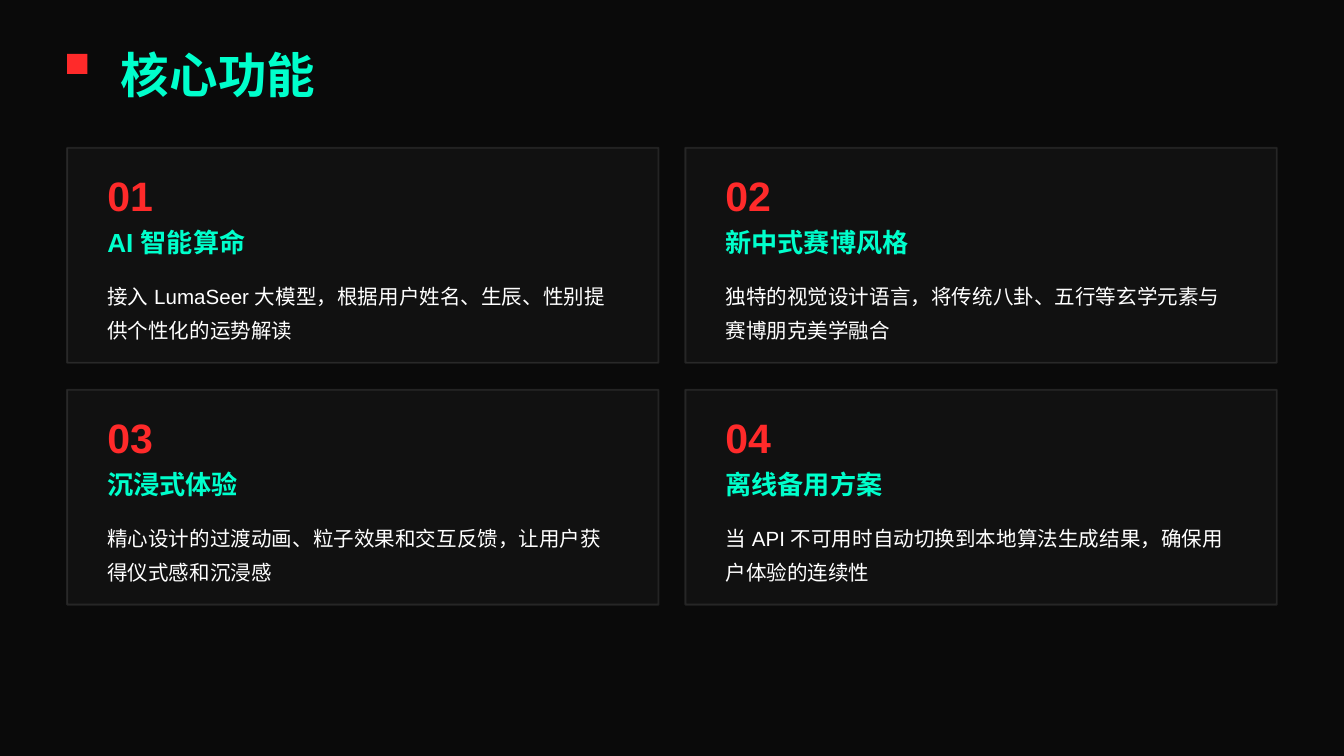
from lxml.etree import SubElement
from pptx import Presentation
from pptx.dml.color import RGBColor
from pptx.enum.shapes import MSO_SHAPE
from pptx.enum.text import MSO_ANCHOR, MSO_AUTO_SIZE, PP_ALIGN
from pptx.oxml.ns import qn
from pptx.util import Inches, Pt

# Content
TITLE = "核心功能"
FEATURES = [
    ("AI 智能算命", "接入 LumaSeer 大模型，根据用户姓名、生辰、性别提供个性化的运势解读"),
    ("新中式赛博风格", "独特的视觉设计语言，将传统八卦、五行等玄学元素与赛博朋克美学融合"),
    ("沉浸式体验", "精心设计的过渡动画、粒子效果和交互反馈，让用户获得仪式感和沉浸感"),
    ("离线备用方案", "当 API 不可用时自动切换到本地算法生成结果，确保用户体验的连续性"),
]

# Style
FONT = "Arial"
BLACK = RGBColor(0x0A, 0x0A, 0x0A)
RED = RGBColor(0xFF, 0x2A, 0x2A)
TEAL = RGBColor(0x00, 0xFF, 0xCC)
WHITE = RGBColor(0xFF, 0xFF, 0xFF)

# Card grid, in inches
COLUMNS = 2
LEFT, TOP = 0.5, 1.1
CARD_WIDTH, CARD_HEIGHT, GAP = 4.4, 1.6, 0.2
PADDING = 0.2


def place(shape, left, top, width, height):
    shape.left, shape.top = Inches(left), Inches(top)
    shape.width, shape.height = Inches(width), Inches(height)


def write(box, text, size, color, bold=False, line_spacing=None):
    frame = box.text_frame
    frame.word_wrap = True
    frame.auto_size = MSO_AUTO_SIZE.NONE
    frame.vertical_anchor = MSO_ANCHOR.MIDDLE
    para = frame.paragraphs[0]
    para.alignment = PP_ALIGN.LEFT
    if line_spacing:
        para.line_spacing = Pt(line_spacing)
    span = para.add_run()
    span.text = text
    span.font.name, span.font.size = FONT, Pt(size)
    span.font.bold, span.font.color.rgb = bold, color
    # East Asian typeface follows the Latin one
    SubElement(span.font._element, qn("a:ea"), typeface=FONT)


def add_text(slide, text, left, top, width, height, **style):
    box = slide.shapes.add_textbox(
        Inches(left), Inches(top), Inches(width), Inches(height))
    write(box, text, **style)


def add_rectangle(slide, left, top, width, height, color):
    box = slide.shapes.add_shape(
        MSO_SHAPE.RECTANGLE,
        Inches(left), Inches(top), Inches(width), Inches(height))
    box.shadow.inherit = False
    box.fill.solid()
    box.fill.fore_color.rgb = color
    box.line.fill.background()
    return box


def set_opacity(properties, percent):
    color = properties.find(qn("a:solidFill")).find(qn("a:srgbClr"))
    SubElement(color, qn("a:alpha"), val=str(percent * 1000))


def add_card(slide, left, top, number, heading, description):
    card = add_rectangle(slide, left, top, CARD_WIDTH, CARD_HEIGHT, WHITE)
    card.line.color.rgb = WHITE
    card.line.width = Pt(1)
    properties = card._element.spPr
    set_opacity(properties, 3)
    set_opacity(properties.find(qn("a:ln")), 10)

    text_left = left + PADDING
    text_width = CARD_WIDTH - 2 * PADDING
    add_text(slide, f"{number:02}", text_left, top + 0.15, 1, 0.4,
             size=22, color=RED, bold=True)
    add_text(slide, heading, text_left, top + 0.55, text_width, 0.3,
             size=14, color=TEAL, bold=True)
    add_text(slide, description, text_left, top + 0.9, text_width, 0.6,
             size=11, color=WHITE, line_spacing=18)


def main():
    # Widescreen 16:9 page
    deck = Presentation()
    deck.slide_width = Inches(10)
    deck.slide_height = deck.slide_width * 9 // 16
    page = deck.slides.add_slide(deck.slide_layouts[5])
    page.background.fill.solid()
    page.background.fill.fore_color.rgb = BLACK

    # Title with its red marker
    add_rectangle(page, LEFT, 0.4, 0.15, 0.15, RED)
    title = page.shapes.title
    place(title, 0.8, 0.3, 4, 0.5)
    write(title, TITLE, size=26, color=TEAL, bold=True)

    # Numbered feature cards
    for index, (heading, description) in enumerate(FEATURES):
        row, column = divmod(index, COLUMNS)
        add_card(page, LEFT + column * (CARD_WIDTH + GAP),
                 TOP + row * (CARD_HEIGHT + GAP),
                 index + 1, heading, description)

    deck.save("out.pptx")


if __name__ == "__main__":
    main()
